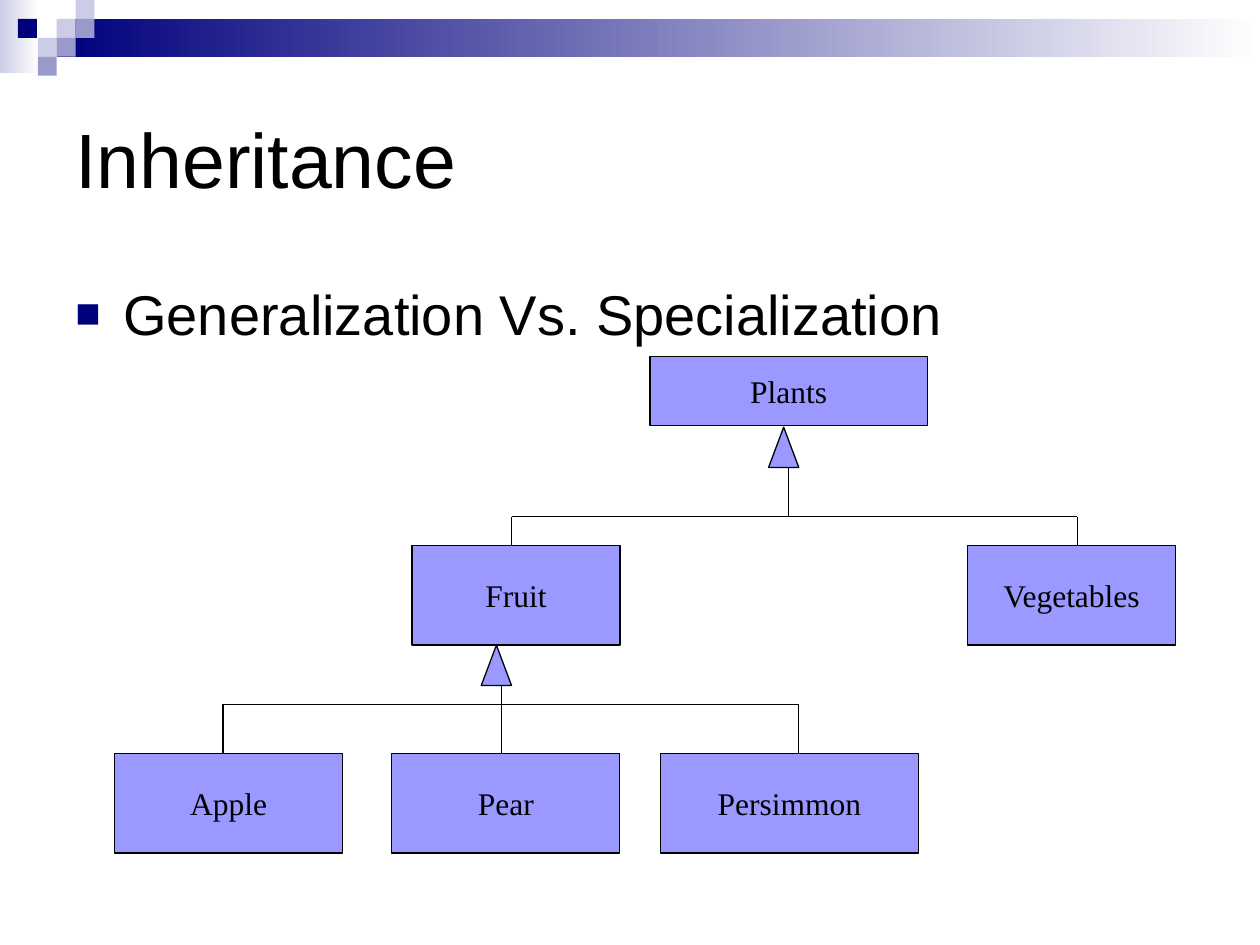
from lxml.etree import SubElement
from pptx import Presentation
from pptx.dml.color import RGBColor
from pptx.enum.shapes import MSO_CONNECTOR, MSO_SHAPE
from pptx.enum.text import MSO_ANCHOR, PP_ALIGN
from pptx.oxml.ns import qn
from pptx.util import Inches, Pt

# Content
TITLE = "Inheritance"
BULLET = "Generalization Vs. Specialization"
COLORS = {"navy": "00007D", "pale": "CCCCE6", "mid": "9999CC",
          "box": "9999FF", "black": "000000", "white": "FFFFFF"}

# Header: gradient bars, then squares as (column, row, color) on a grid
BARS = [((0, 0, 0.31, 0.58), "pale"), ((0.45, 0.15, 9.55, 0.3), "navy")]
SQUARE = 0.15
SQUARES = [(3, 1, "pale"), (4, 0, "pale"), (4, 1, "mid"), (2, 2, "pale"),
           (0.95, 1, "navy"), (3, 2, "mid"), (2, 3, "mid")]

# Class boxes by level: top, height, then (name, left, width)
LEVELS = [
    (2.83, 0.55, [("Plants", 5.16, 2.2)]),
    (4.33, 0.79, [("Fruit", 3.27, 1.65), ("Vegetables", 7.68, 1.65)]),
    (5.98, 0.79, [("Apple", 0.91, 1.81), ("Pear", 3.11, 1.81),
                  ("Persimmon", 5.24, 2.05)]),
]
# Inheritance trees: stem x, stem top, bar y, child tops, child x positions
TREES = [
    {"stem": 6.26, "top": 3.7, "bar": 4.1, "bottom": 4.33, "drops": [4.06, 8.55]},
    {"stem": 3.98, "top": 5.36, "bar": 5.59, "bottom": 5.98, "drops": [1.77, 3.98, 6.34]},
]
ARROW_WIDTH, ARROW_HEIGHT = 0.24, 0.32
ARROWS = [(6.1, 3.39), (3.82, 5.12)]

presentation = Presentation()
presentation.slide_width, presentation.slide_height = Inches(10), Inches(7.5)
slide = presentation.slides.add_slide(presentation.slide_layouts[6])


def color(name):
    return RGBColor.from_string(COLORS[name])


def write(shape, text, size, font="Arial", align=PP_ALIGN.LEFT,
          anchor=MSO_ANCHOR.TOP, wrap=True):
    frame = shape.text_frame
    frame.word_wrap = wrap
    frame.vertical_anchor = anchor
    paragraph = frame.paragraphs[0]
    paragraph.alignment = align
    run = paragraph.add_run()
    run.text = text
    run.font.name, run.font.size = font, Pt(size)
    run.font.color.rgb = color("black")
    return paragraph


def add_shape(kind, area, fill, outlined=False, fade=False):
    shape = slide.shapes.add_shape(kind, *map(Inches, area))
    shape.shadow.inherit = False
    if fade:
        shape.fill.gradient()
        shape.fill.gradient_angle = 0
        for stop, name in zip(shape.fill.gradient_stops, (fill, "white")):
            stop.color.rgb = color(name)
    else:
        shape.fill.solid()
        shape.fill.fore_color.rgb = color(fill)
    if outlined:
        shape.line.color.rgb = color("black")
        shape.line.width = Pt(0.75)
    else:
        shape.line.fill.background()
    return shape


def add_line(*ends):
    line = slide.shapes.add_connector(MSO_CONNECTOR.STRAIGHT, *map(Inches, ends))
    line.line.color.rgb = color("black")
    line.line.width = Pt(0.75)
    SubElement(line._element.spPr, qn("a:effectLst"))


# Header decoration
for area, name in BARS:
    add_shape(MSO_SHAPE.RECTANGLE, area, name, fade=True)
for column, row, name in SQUARES:
    add_shape(MSO_SHAPE.RECTANGLE,
              (column * SQUARE, row * SQUARE, SQUARE, SQUARE), name)

# Title and bullet
title = slide.shapes.add_textbox(*map(Inches, (0.5, 0.5, 9, 1.5)))
write(title, TITLE, 44, anchor=MSO_ANCHOR.MIDDLE)
body = slide.shapes.add_textbox(*map(Inches, (0.5, 2.17, 9, 4.42)))
paragraph = write(body, BULLET, 32)
paragraph.space_before = Pt(6.4)
properties = paragraph._p.get_or_add_pPr()
properties.set("marL", str(Inches(0.38)))
properties.set("indent", str(-Inches(0.38)))
bullet_color = SubElement(properties, qn("a:buClr"))
SubElement(bullet_color, qn("a:srgbClr"), val=COLORS["navy"])
SubElement(properties, qn("a:buSzPct"), val="75000")
SubElement(properties, qn("a:buFont"), typeface="Arial")
SubElement(properties, qn("a:buChar"), char="■")

# Class boxes
for top, height, boxes in LEVELS:
    for name, left, width in boxes:
        box = add_shape(MSO_SHAPE.RECTANGLE, (left, top, width, height), "box",
                        outlined=True)
        write(box, name, 18, font="Times New Roman", align=PP_ALIGN.CENTER,
              anchor=MSO_ANCHOR.MIDDLE, wrap=False)

# Tree lines, then the inheritance arrowheads
for tree in TREES:
    add_line(tree["stem"], tree["top"], tree["stem"], tree["bar"])
    add_line(tree["drops"][0], tree["bar"], tree["drops"][-1], tree["bar"])
    for x in tree["drops"]:
        add_line(x, tree["bar"], x, tree["bottom"])
for left, top in ARROWS:
    add_shape(MSO_SHAPE.FLOWCHART_EXTRACT,
              (left, top, ARROW_WIDTH, ARROW_HEIGHT), "box", outlined=True)

presentation.save("out.pptx")
